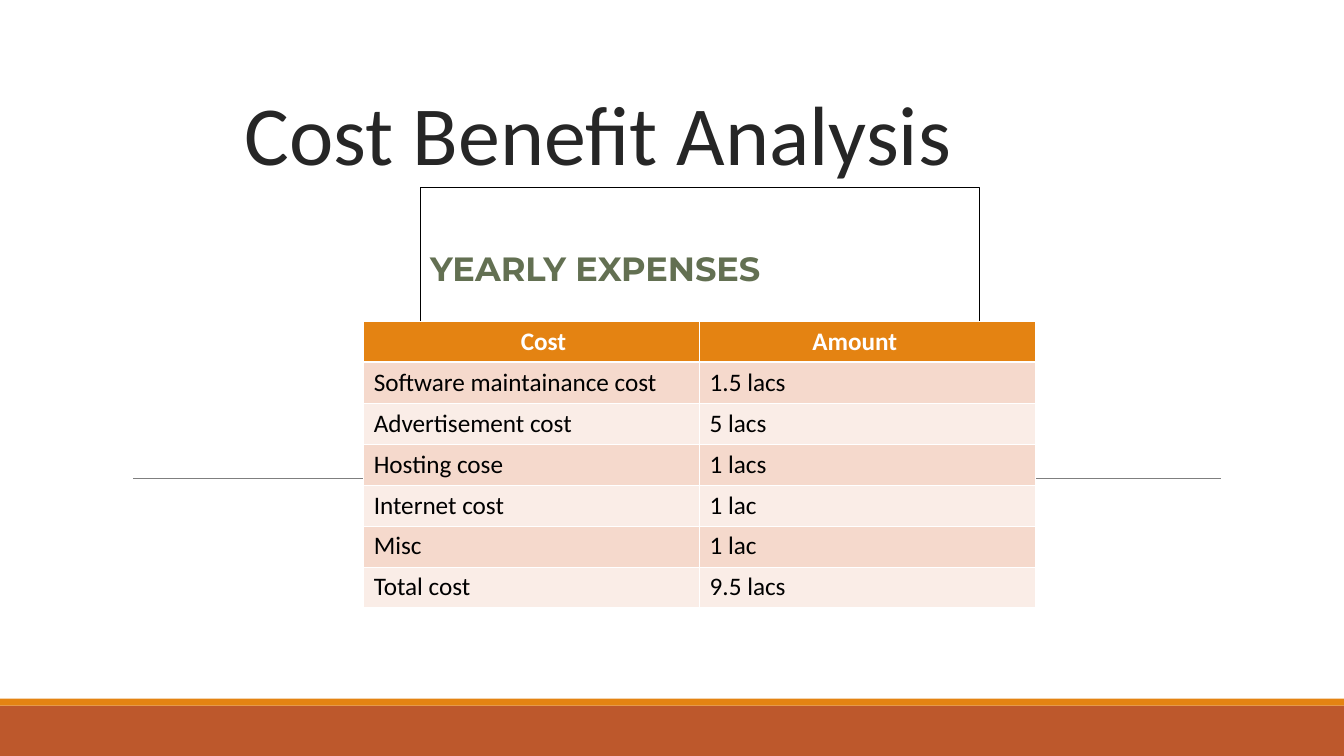
"""Build the cost benefit slide with its table of yearly expenses."""
from dataclasses import dataclass

from lxml import etree
from pptx import Presentation
from pptx import util as u
from pptx.dml.color import RGBColor
from pptx.enum import shapes, text
from pptx.oxml.ns import qn

SLIDE_WIDTH = u.Inches(13.34)
SLIDE_HEIGHT = u.Inches(7.5)
ORANGE, RUST, WHITE, BLACK = "E48312", "BD582C", "FFFFFF", "000000"
STRIPES = ("F5D9CC", "FAEDE7")
HEADER_INDENTS = (1.56, 1.12)
EXPENSES = (
    ("Cost", "Amount"),
    ("Software maintainance cost", "1.5 lacs"),
    ("Advertisement cost", "5 lacs"),
    ("Hosting cose", "1 lacs"),
    ("Internet cost", "1 lac"),
    ("Misc", "1 lac"),
    ("Total cost", "9.5 lacs"),
)


@dataclass(frozen=True)
class Area:
    """A rectangle in percent of the slide's width and height."""
    left: float
    top: float
    width: float
    height: float

    def box(self) -> tuple[int, int, int, int]:
        """Return left, top, width and height in EMU."""
        return (share(self.left, SLIDE_WIDTH), share(self.top, SLIDE_HEIGHT),
                share(self.width, SLIDE_WIDTH), share(self.height, SLIDE_HEIGHT))


@dataclass(frozen=True)
class Band:
    """A filled strip at the foot of the slide."""
    area: Area
    fill: str


@dataclass(frozen=True)
class Style:
    """The look of a paragraph."""
    font: str
    size: float
    color: str
    bold: bool = False


TITLE_AREA = Area(17.47, 3.33, 63.72, 21.47)
HEADING_AREA = Area(31.26, 24.8, 41.6, 17.87)
TABLE_AREA = Area(27.06, 42.53, 50, 37.87)
RULE_AREA = Area(9.9, 63.33, 80.95, 0)
BANDS = (Band(Area(0, 93.33, 100, 6.67), RUST), Band(Area(0, 92.4, 100, 0.93), ORANGE))
TITLE_STYLE = Style("Calibri", 60, "262626")
HEADING_STYLE = Style("Montserrat", 24, "637052", True)
HEADER_STYLE = Style("Calibri", 18, WHITE, True)
BODY_STYLE = Style("Calibri", 18, BLACK)


def share(percent: float, length: int) -> int:
    """Return a percentage of a length."""
    return round(length * percent / 100)


def rgb(color: str) -> RGBColor:
    """Turn a hex string into a colour."""
    return RGBColor.from_string(color)


def write(frame, wording: str, style: Style) -> None:
    """Put one left-aligned, styled paragraph into a text frame."""
    frame.text = wording
    paragraph = frame.paragraphs[0]
    paragraph.alignment = text.PP_ALIGN.LEFT
    paragraph.font.name = style.font
    paragraph.font.size = u.Pt(style.size)
    paragraph.font.bold = style.bold
    paragraph.font.color.rgb = rgb(style.color)


def add_box(slide, area: Area, fill: str):
    """Add a flat rectangle without an outline."""
    shape = slide.shapes.add_shape(shapes.MSO_SHAPE.RECTANGLE, *area.box())
    shape.shadow.inherit = False
    shape.fill.solid()
    shape.fill.fore_color.rgb = rgb(fill)
    shape.line.fill.background()
    return shape


def add_rule(slide) -> None:
    """Add the thin grey line across the slide."""
    left, top, width, _ = RULE_AREA.box()
    rule = slide.shapes.add_connector(shapes.MSO_CONNECTOR.STRAIGHT, left, top, left + width, top)
    rule.line.color.rgb = rgb("7F7F7F")
    rule.line.width = u.Pt(0.5)
    properties = rule.element.find(qn("p:spPr"))
    etree.SubElement(properties, qn("a:effectLst"))


def fill_title(slide) -> None:
    """Place and format the title."""
    title = slide.shapes.title
    title.left, title.top, title.width, title.height = TITLE_AREA.box()
    frame = title.text_frame
    frame.auto_size = text.MSO_AUTO_SIZE.NONE
    frame.vertical_anchor = text.MSO_ANCHOR.BOTTOM
    write(frame, "Cost Benefit Analysis", TITLE_STYLE)
    frame.paragraphs[0].line_spacing = 0.85


def add_heading(slide) -> None:
    """Add the framed heading above the table."""
    heading = add_box(slide, HEADING_AREA, WHITE)
    heading.line.color.rgb = rgb(BLACK)
    heading.line.width = u.Pt(0.75)
    frame = heading.text_frame
    frame.word_wrap = True
    frame.vertical_anchor = text.MSO_ANCHOR.TOP
    frame.margin_top = u.Inches(0.6)
    write(frame, "YEARLY EXPENSES", HEADING_STYLE)


def add_borders(cell, widths: dict[str, float]) -> None:
    """Draw white borders of the given point widths around a cell."""
    properties = cell._tc.get_or_add_tcPr()
    for side, width in widths.items():
        line = etree.SubElement(properties, qn(f"a:ln{side}"), w=str(u.Pt(width)))
        fill = etree.SubElement(line, qn("a:solidFill"))
        etree.SubElement(fill, qn("a:srgbClr"), val=WHITE)


def add_expenses(slide) -> None:
    """Add the striped table of expenses."""
    frame = slide.shapes.add_table(len(EXPENSES), len(EXPENSES[0]), *TABLE_AREA.box())
    for row, entries in enumerate(EXPENSES):
        header = row == 0
        for column, wording in enumerate(entries):
            cell = frame.table.cell(row, column)
            add_borders(cell, {"L": 0.45, "R": 0.45, "T": 1.47 if row == 1 else 0.45,
                               "B": 1.47 if header else 0.45})
            cell.fill.solid()
            cell.fill.fore_color.rgb = rgb(ORANGE if header else STRIPES[(row - 1) % 2])
            cell.margin_left = u.Inches(HEADER_INDENTS[column] if header else 0.1)
            write(cell.text_frame, wording, HEADER_STYLE if header else BODY_STYLE)


def main() -> None:
    """Build and save the presentation."""
    presentation = Presentation()
    presentation.slide_width = SLIDE_WIDTH
    presentation.slide_height = SLIDE_HEIGHT
    slide = presentation.slides.add_slide(presentation.slide_layouts.get_by_name("Title Only"))
    for band in BANDS:
        add_box(slide, band.area, band.fill)
    add_rule(slide)
    fill_title(slide)
    add_heading(slide)
    add_expenses(slide)
    presentation.save("out.pptx")


if __name__ == "__main__":
    main()
